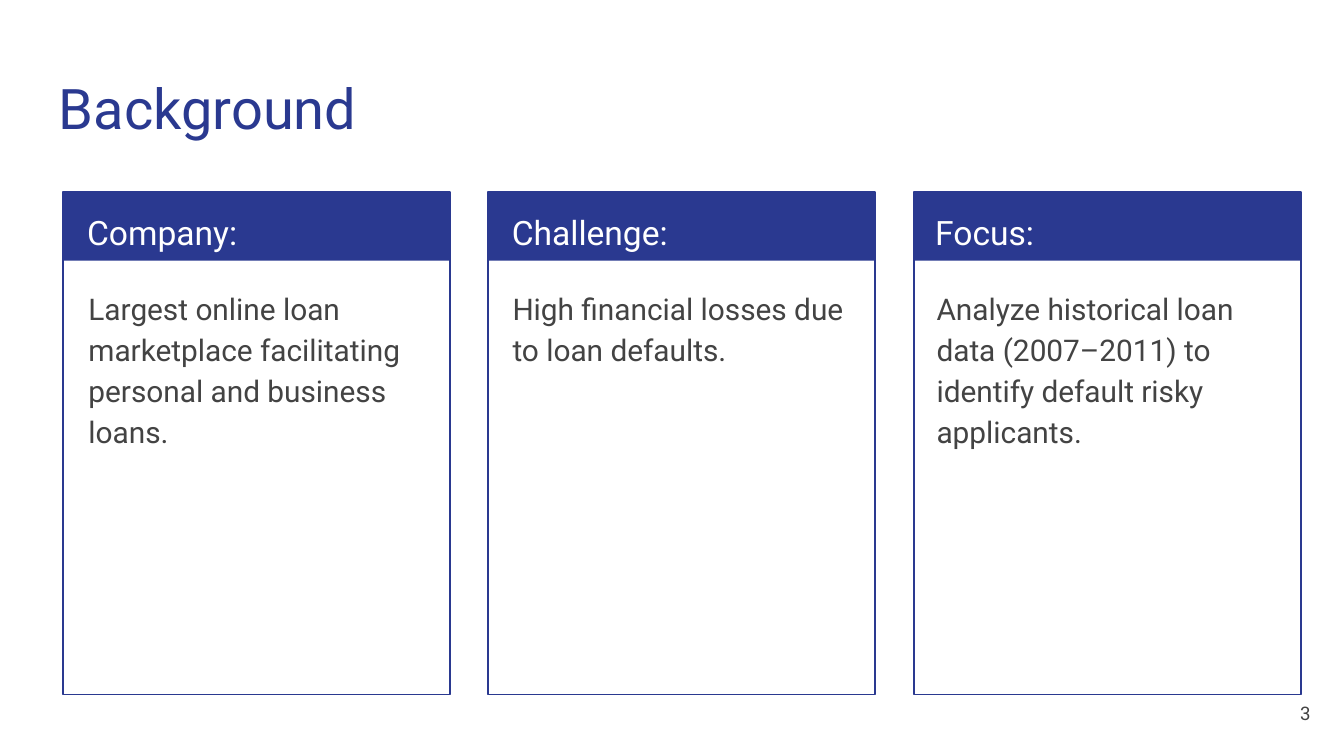
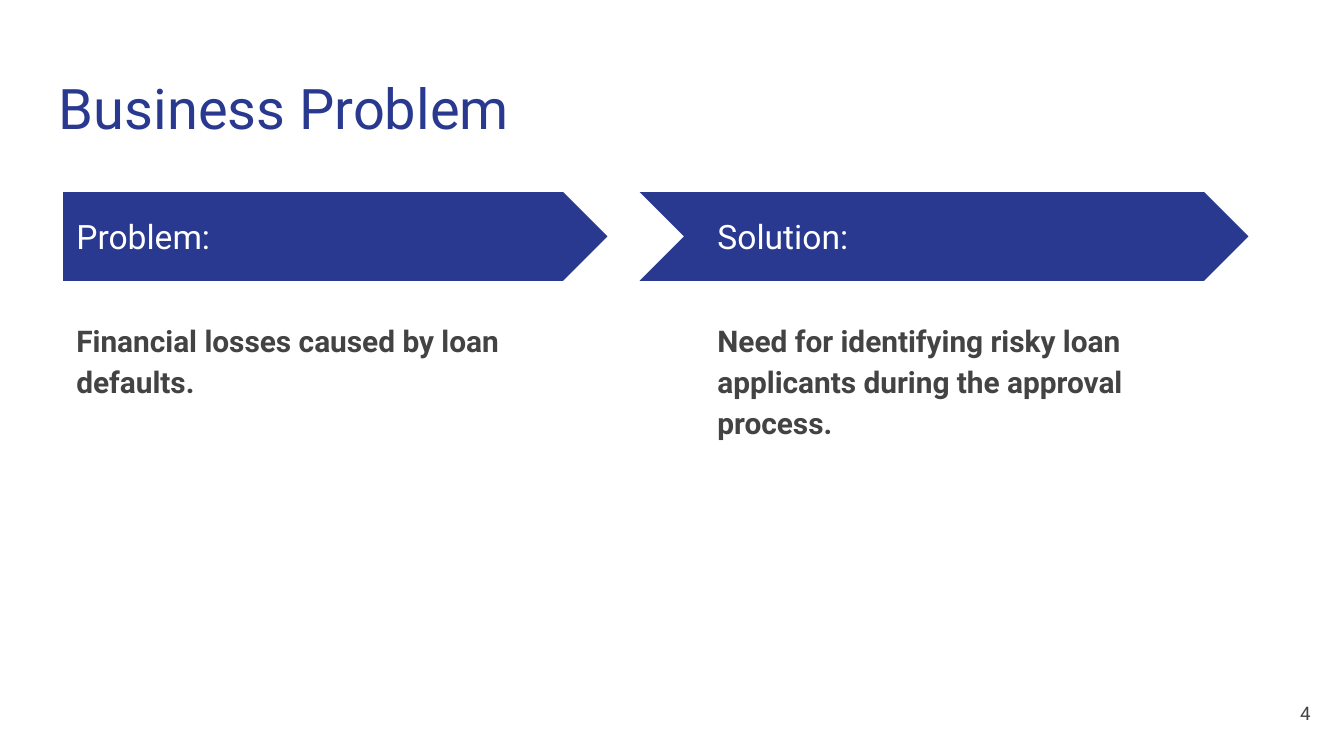
"""Build the Background and Business Problem slides."""
from pptx import Presentation
from pptx.dml.color import RGBColor
from pptx.enum.shapes import MSO_SHAPE
from pptx.enum.text import MSO_ANCHOR, PP_ALIGN
from pptx.util import Inches, Pt

FONT = "Roboto"
NAVY = "2A3990"
GRAY = "434343"
WHITE = "FFFFFF"
TOP = 1.43


def add_text(page, text, left, top, width, height, size, color, bold=False,
             anchor=MSO_ANCHOR.TOP, align=PP_ALIGN.LEFT, spacing=1.0, after=0):
    box = page.shapes.add_textbox(Inches(left), Inches(top), Inches(width), Inches(height))
    frame = box.text_frame
    frame.word_wrap = True
    frame.vertical_anchor = anchor
    frame.margin_left = frame.margin_right = Inches(0.1)
    frame.margin_top = frame.margin_bottom = Inches(0.1)
    para = frame.paragraphs[0]
    para.text = text
    para.alignment = align
    para.line_spacing = spacing
    para.space_after = Pt(after)
    para.font.name = FONT
    para.font.size = Pt(size)
    para.font.bold = bold
    para.font.color.rgb = RGBColor.from_string(color)


def add_block(page, kind, left, width, height, filled=True):
    block = page.shapes.add_shape(kind, Inches(left), Inches(TOP), Inches(width), Inches(height))
    block.shadow.inherit = False
    if filled:
        block.fill.solid()
        block.fill.fore_color.rgb = RGBColor.from_string(NAVY)
        block.line.fill.background()
    else:
        block.fill.background()
        block.line.color.rgb = RGBColor.from_string(NAVY)
        block.line.width = Pt(0.75)


deck = Presentation()
deck.slide_width = Inches(10)
deck.slide_height = Inches(10 * 9 / 16)

pages = []
for number, title in enumerate(["Background", "Business Problem"], start=3):
    page = deck.slides.add_slide(deck.slide_layouts[6])
    add_text(page, title, 0.34, 0.45, 9.32, 0.66, 30, NAVY)
    add_text(page, str(number), 9.25, 5.09, 0.6, 0.43, 10, GRAY,
             anchor=MSO_ANCHOR.MIDDLE, align=PP_ALIGN.RIGHT)
    pages.append(page)
background, problem = pages

cards = [
    (0.47, 0.55, "Company:",
     "Largest online loan marketplace facilitating personal and business loans."),
    (3.63, 3.71, "Challenge:",
     "High financial losses due to loan defaults."),
    (6.8, 6.86, "Focus:",
     "Analyze historical loan data (2007–2011) to identify default risky applicants."),
]
for index, (left, heading_left, heading, body) in enumerate(cards):
    add_block(background, MSO_SHAPE.RECTANGLE, left, 2.88, 0.51)
    add_block(background, MSO_SHAPE.RECTANGLE, left, 2.88, 3.74, filled=False)
    add_text(background, heading, heading_left, TOP, 2.73, 0.5, 18, WHITE, spacing=1.15)
    add_text(background, body, 0.56 + 3.155 * index, 2.02, 2.71, 3.06, 16, GRAY,
             spacing=1.15, after=16)

steps = [
    (MSO_SHAPE.PENTAGON, 0.47, 4.05, 0.47, "Problem:",
     "Financial losses caused by loan defaults."),
    (MSO_SHAPE.CHEVRON, 4.76, 4.53, 5.24, "Solution:",
     "Need for identifying risky loan applicants during the approval process."),
]
for kind, left, width, text_left, heading, body in steps:
    add_block(problem, kind, left, width, 0.66)
    add_text(problem, heading, text_left, 1.59, 3.7, 0.34, 18, WHITE, anchor=MSO_ANCHOR.MIDDLE)
    add_text(problem, body, text_left, 2.26, 4.06, 2.9, 16, GRAY, bold=True, spacing=1.15, after=8)

deck.save("out.pptx")
